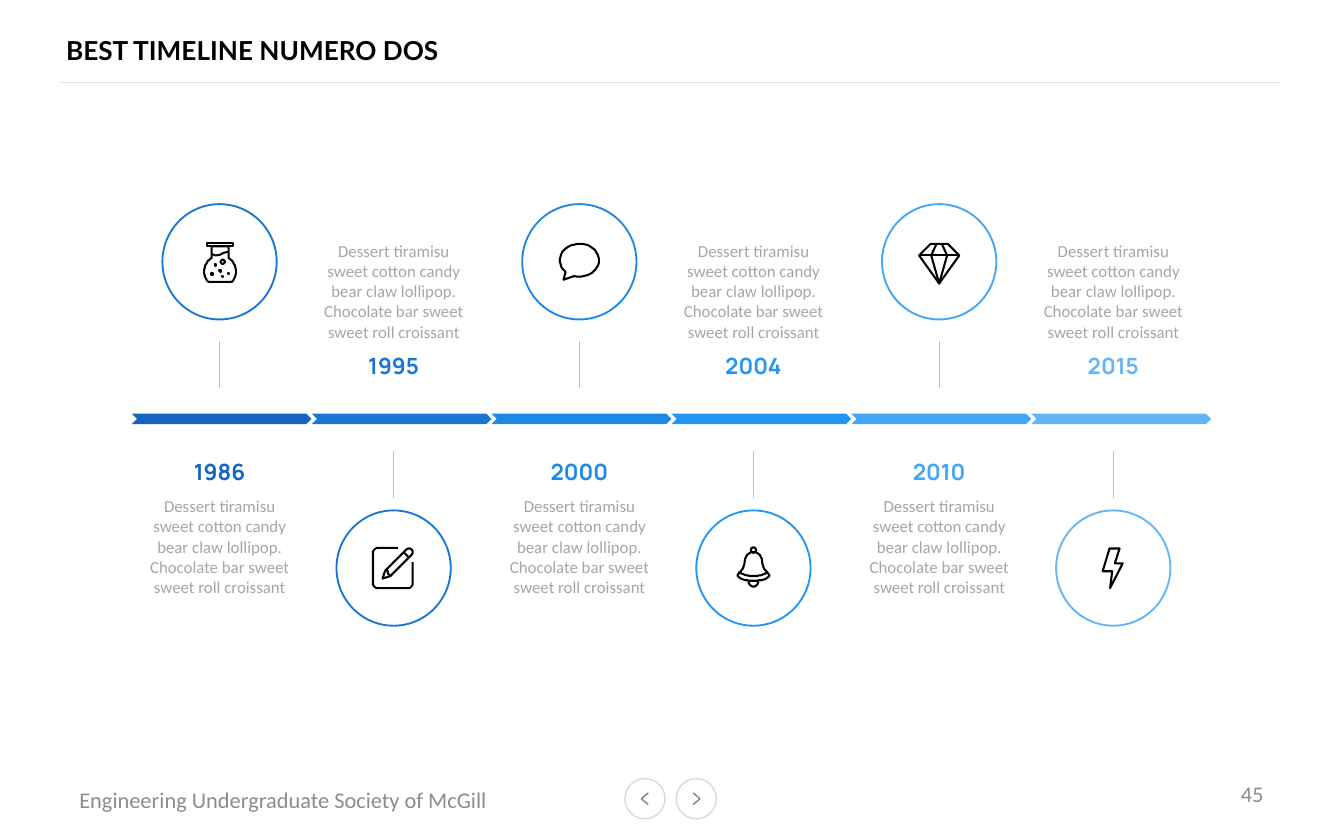
"""Build a six-step timeline slide with ringed icons."""
from dataclasses import dataclass
from math import cos, radians, sin

from pptx import Presentation
from pptx.dml.color import RGBColor
from pptx.enum.shapes import MSO_CONNECTOR, MSO_SHAPE
from pptx.enum.text import MSO_ANCHOR, PP_ALIGN
from pptx.oxml.ns import qn
from pptx.util import Cm, Pt

STRAIGHT = MSO_CONNECTOR.STRAIGHT
OVAL, CHEVRON = MSO_SHAPE.OVAL, MSO_SHAPE.CHEVRON
LEFT, CENTER, RIGHT = PP_ALIGN.LEFT, PP_ALIGN.CENTER, PP_ALIGN.RIGHT
TOP, MIDDLE = MSO_ANCHOR.TOP, MSO_ANCHOR.MIDDLE


@dataclass(frozen=True)
class Theme:
    title_font: str = "Lato"
    year_font: str = "Manrope"
    body_font: str = "Calibri"
    title_size: float = 14
    label_size: float = 12
    body_size: float = 9
    hairline: float = 0.75
    ring_line: float = 1
    icon_line: float = 1.1
    black: str = "000000"
    white: str = "FFFFFF"
    body: str = "A6A6A6"
    footer: str = "8C8C8C"
    rule: str = "E0E0E0"
    stem: str = "BFBFBF"
    button: str = "D9D9D9"
    arrow: str = "808080"
    steps: tuple = ("1565C0", "1976D2", "1E88E5", "2196F3", "42A5F5", "64B5F6")


THEME = Theme()
YEARS = ("1986", "1995", "2000", "2004", "2010", "2015")
BLURB = ("Dessert tiramisu sweet cotton candy bear claw lollipop. "
         "Chocolate bar sweet sweet roll croissant")
PITCH = 3.4
RING_W, RING_H = 2.16, 2.18


def rgb(color):
    return RGBColor.from_string(color)


def arc(cx, cy, rx, ry, start, end, steps=24):
    angles = [radians(start + (end - start) * i / steps) for i in range(steps + 1)]
    return [(cx + rx * cos(a), cy + ry * sin(a)) for a in angles]


def dot(cx, cy, r):
    return arc(cx, cy, r, r, 0, 360), True


def flask():
    body = [(17, -29), *arc(1, 18, 30, 30, -58, 42),
            *arc(1, 18, 30, 30, 138, 238), (-15, -29)]
    return [([(-23, -36), (25, -36), (25, -29), (-23, -29)], True), (body, True),
            ([(-15, -15), (-8, -12), (0, -13), (8, -17), (17, -19)], False),
            dot(6, 0, 4), dot(1, 17, 2), dot(-14, 23, 2),
            dot(17, 22, 1), dot(-8, 6, 1), dot(6, 28, 1)]


def pencil():
    frame = [(8, -38), *arc(-30, -29, 9, 9, 270, 180), *arc(-30, 29, 9, 9, 180, 90),
             *arc(27, 29, 9, 9, 90, 0), (36, -11)]
    body = [(-21, 20), (-16, 5), *arc(29, -30, 7, 7, 225, 405), (-6, 15)]
    return [(frame, False), (body, True), ([(19, -30), (29, -20)], False),
            ([(-16, 5), (-11, 5), (-11, 10), (-6, 15)], False)]


def bubble():
    return [([*arc(0, -3, 37, 31, 135, 465, 48), (-30, 34)], True)]


def bell():
    side = [(-5, -30), (-12, -25), (-16, -17), (-17, -8), (-20, 1), (-25, 7)]
    body = side + arc(0, 13, 30, 11, 180, 0) + [(-x, y) for x, y in reversed(side)]
    return [(body, True), dot(0, -34, 5), (arc(0, 6, 26, 9, 180, 0), False),
            (arc(0, 25, 9, 10, 180, 0), False)]


def diamond():
    return [([(-16, -34), (16, -34), (38, -12), (0, 41), (-38, -12)], True),
            ([(-38, -12), (38, -12)], False),
            ([(-5, -34), (-15, -12), (0, 41), (15, -12), (5, -34)], False)]


def bolt():
    return [([(-7, -37), (12, -37), (3, -9), (18, -9), (-6, 38), (-2, 6), (-20, 6)], True)]


ICONS = (flask, pencil, bubble, bell, diamond, bolt)


def add_line(s, x1, y1, x2, y2, color):
    line = s.shapes.add_connector(STRAIGHT, Cm(x1), Cm(y1), Cm(x2), Cm(y2))
    line.line.color.rgb = rgb(color)
    line.line.width = Pt(THEME.hairline)
    sp_pr = line._element.spPr
    sp_pr.append(sp_pr.makeelement(qn("a:effectLst"), {}))


def style(sp, fill=None, line=None, width=0):
    sp.shadow.inherit = False
    if fill:
        sp.fill.solid()
        sp.fill.fore_color.rgb = rgb(fill)
    else:
        sp.fill.background()
    if line:
        sp.line.color.rgb = rgb(line)
        sp.line.width = Pt(width)
    else:
        sp.line.fill.background()


def add_shape(s, kind, x, y, w, h, **look):
    style(s.shapes.add_shape(kind, Cm(x), Cm(y), Cm(w), Cm(h)), **look)


def add_icon(s, strokes, cx, cy):
    builder = s.shapes.build_freeform(*strokes[0][0][0], scale=Cm(0.01))
    for i, (points, closed) in enumerate(strokes):
        if i:
            builder.move_to(*points[0])
        builder.add_line_segments(points[1:], close=closed)
    sp = builder.convert_to_shape(Cm(cx), Cm(cy))
    style(sp, line=THEME.black, width=THEME.icon_line)


def add_text(s, x, y, w, h, items, align=LEFT, anchor=MIDDLE, inset=None):
    tf = s.shapes.add_textbox(Cm(x), Cm(y), Cm(w), Cm(h)).text_frame
    tf.word_wrap = True
    tf.vertical_anchor = anchor
    if inset is not None:
        tf.margin_left = tf.margin_right = tf.margin_top = tf.margin_bottom = Cm(inset)
    for i, (text, font, size, color, bold) in enumerate(items):
        p = tf.add_paragraph() if i else tf.paragraphs[0]
        p.text = text
        p.alignment = align
        if i:
            p.space_before = Pt(6)
        p.font.name, p.font.size, p.font.bold = font, Pt(size), bold
        p.font.color.rgb = rgb(color)


def add_step(s, i):
    color = THEME.steps[i]
    raised = i % 2 == 0
    cx = (4.15 if raised else 4.04) + i * PITCH
    ring_y, stem_y, text_y = (3.86, 6.45, 8.53) if raised else (9.65, 8.53, 4.42)
    add_shape(s, CHEVRON, 2.49 + i * PITCH, 7.82, PITCH, 0.2, fill=color)
    add_shape(s, OVAL, cx - RING_W / 2, ring_y, RING_W, RING_H,
              line=THEME.steps[max(i, 1)], width=THEME.ring_line)
    add_icon(s, ICONS[i](), cx, ring_y + RING_H / 2)
    add_line(s, cx, stem_y, cx, stem_y + 0.89, THEME.stem)
    items = [(YEARS[i], THEME.year_font, THEME.label_size, color, True),
             (BLURB, THEME.body_font, THEME.body_size, THEME.body, False)]
    add_text(s, cx - PITCH / 2, text_y, PITCH, 2.9,
             items if raised else items[::-1], CENTER, TOP)


def add_button(s, cx, direction):
    cy, r = 15.1, 0.38
    add_shape(s, OVAL, cx - r, cy - r, 2 * r, 2 * r,
              fill=THEME.white, line=THEME.button, width=THEME.hairline)
    for dy in (-0.11, 0.11):
        add_line(s, cx + direction * 0.07, cy, cx - direction * 0.06, cy + dy, THEME.arrow)


def add_frame(s):
    add_line(s, 1.12, 1.56, 24.2, 1.56, THEME.rule)
    add_text(s, 1.25, 0.41, 16.94, 1.09, [
        ("BEST TIMELINE NUMERO DOS", THEME.title_font, THEME.title_size, THEME.black, True)],
        inset=0)
    label = (THEME.body_font, THEME.label_size, THEME.footer, False)
    add_text(s, 1.25, 14.73, 8.61, 0.76, [("Engineering Undergraduate Society of McGill", *label)])
    add_text(s, 18.21, 14.58, 5.92, 0.84, [("45", *label)], RIGHT)
    add_button(s, 12.19, -1)
    add_button(s, 13.16, 1)


def main():
    prs = Presentation()
    prs.slide_width, prs.slide_height = Cm(25.4), Cm(15.88)
    s = prs.slides.add_slide(prs.slide_layouts[6])
    add_frame(s)
    for i in range(len(YEARS)):
        add_step(s, i)
    prs.save("out.pptx")


if __name__ == "__main__":
    main()
